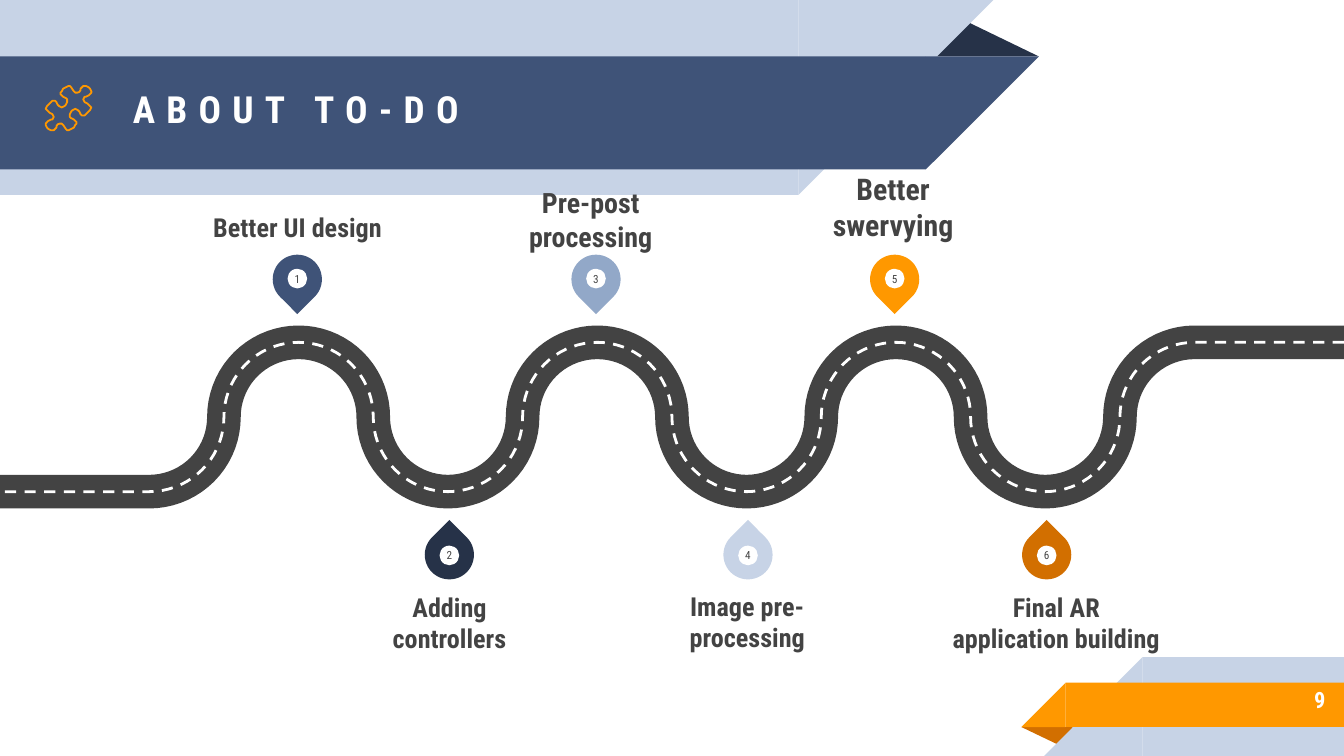
import math
from dataclasses import dataclass

import pptx
import pptx.dml.color
import pptx.enum.dml
import pptx.enum.shapes
import pptx.enum.text
import pptx.util

SHAPE = pptx.enum.shapes.MSO_SHAPE
ALIGN = pptx.enum.text.PP_ALIGN
ANCHOR = pptx.enum.text.MSO_ANCHOR

# Square grid cells: 100 columns across a 16:9 slide
COLUMNS = 100
ROWS = COLUMNS * 9 / 16
CELL = pptx.util.Inches(10) // COLUMNS
FONT = "Roboto Condensed"
COLOURS = {
    "white": "FFFFFF", "pale": "C7D3E6", "sky": "92A8C8", "blue": "3F5378", "navy": "263248",
    "orange": "FF9800", "rust": "D26F00", "grey": "434343",
}

# The road bends in quarter circles, 18 radii across the slide
RADIUS = COLUMNS / 18
ROAD_MIDDLE = 31.03
PIN_SIZE, DOT_SIZE = 3.66, 1.46


@dataclass
class Box:
    left: float
    top: float
    width: float
    height: float


@dataclass
class Band:
    kind: SHAPE
    box: Box
    colour: str
    rotation: int = 0
    mirrored: bool = False


@dataclass
class Step:
    number: int
    label: str
    colour: str
    box: Box
    size: int = 14


BANDS = [
    # Header
    Band(SHAPE.ISOSCELES_TRIANGLE, Box(68.8, 1.4, 8.5, 2.8), "navy"),
    Band(SHAPE.RECTANGLE, Box(0, 0, 59.4, 14.5), "pale"),
    Band(SHAPE.RIGHT_TRIANGLE, Box(59.4, 0, 14.5, 14.5), "pale", 180, True),
    Band(SHAPE.RECTANGLE, Box(0, 4.2, 68.9, 8.4), "blue"),
    Band(SHAPE.RIGHT_TRIANGLE, Box(68.9, 4.2, 8.4, 8.4), "blue", 180, True),
    # Footer
    Band(SHAPE.ISOSCELES_TRIANGLE, Box(76, 54.1, 4.3, 1.4), "rust", 180),
    Band(SHAPE.RECTANGLE, Box(85, 48.9, 15, 7.35), "pale"),
    Band(SHAPE.RIGHT_TRIANGLE, Box(77.7, 48.9, 7.3, 7.35), "pale", 0, True),
    Band(SHAPE.RECTANGLE, Box(79.3, 50.8, 20.7, 3.3), "orange"),
    Band(SHAPE.RIGHT_TRIANGLE, Box(76, 50.8, 3.3, 3.3), "orange", 0, True),
]

STEPS = [
    Step(1, "Better UI design", "blue", Box(15.1, 12.25, 14.1, 5.8)),
    Step(2, "Adding controllers", "navy", Box(26.4, 44, 14.1, 5.8)),
    Step(3, "Pre-post processing", "sky", Box(36.9, 13, 14.1, 5.8), 15),
    Step(4, "Image pre-processing", "pale", Box(49.5, 43.9, 12.2, 5.8)),
    Step(5, "Better swervying", "orange", Box(59.4, 12.25, 14.1, 5.8), 16),
    Step(6, "Final AR application building", "rust", Box(70.8, 44, 15.6, 5.8)),
]

# Half of the puzzle piece; the other half is the same turned by 180 degrees
PUZZLE_CENTRE = (5.1, 8.05)
PUZZLE_HALF = [
    (6.4, 7.2), (6.6, 7.1), (6.7, 7), (6.8, 6.9), (6.8, 6.8), (6.7, 6.6), (6.6, 6.5),
    (6.4, 6.4), (6.2, 6.4), (6.1, 6.5), (6, 6.6), (6, 6.7), (5.9, 6.85), (5.75, 6.9),
    (5.6, 6.9), (5.5, 6.8), (5.3, 6.5), (5.2, 6.4), (5.1, 6.4), (4.9, 6.5), (4.7, 6.6),
    (4.6, 6.8), (4.5, 6.9), (4.5, 7), (4.6, 7.1), (4.7, 7.2), (4.9, 7.3), (5, 7.4),
    (5, 7.6), (4.9, 7.8), (4.8, 7.9), (4.6, 8), (4.4, 7.9), (4.3, 7.8), (4.2, 7.6),
    (4.1, 7.5), (3.9, 7.5), (3.7, 7.7), (3.5, 7.9), (3.4, 8.1), (3.5, 8.2), (3.7, 8.4),
    (3.9, 8.5), (4, 8.7), (3.9, 8.9),
]


def rgb(name: str) -> pptx.dml.color.RGBColor:
    return pptx.dml.color.RGBColor.from_string(COLOURS[name])


def cells(*values: float) -> list[int]:
    return [round(value * CELL) for value in values]


def place(box: Box) -> list[int]:
    return cells(box.left, box.top, box.width, box.height)


def add_filled(slide, band: Band):
    shape = slide.shapes.add_shape(band.kind, *place(band.box))
    shape.shadow.inherit = False
    shape.fill.solid()
    shape.fill.fore_color.rgb = rgb(band.colour)
    shape.line.fill.background()
    shape.rotation = band.rotation
    if band.mirrored:
        shape._element.spPr.xfrm.set("flipH", "1")
    if band.kind == SHAPE.ISOSCELES_TRIANGLE:
        shape.adjustments[0] = 0.32
    return shape


def write(shape, text: str, size: int, colour: str, align=ALIGN.CENTER,
          anchor=ANCHOR.MIDDLE, inset: float = 0, bold: bool = True, spacing: int = 0) -> None:
    frame = shape.text_frame
    margin = pptx.util.Inches(inset)
    frame_format = {"word_wrap": True, "vertical_anchor": anchor, "margin_left": margin,
                    "margin_top": margin, "margin_right": margin, "margin_bottom": margin}
    for name, value in frame_format.items():
        setattr(frame, name, value)
    paragraph = frame.paragraphs[0]
    paragraph.alignment = align
    run = paragraph.add_run()
    run.text = text
    for name, value in {"name": FONT, "size": pptx.util.Pt(size), "bold": bold}.items():
        setattr(run.font, name, value)
    run.font.color.rgb = rgb(colour)
    if spacing:
        run._r.get_or_add_rPr().set("spc", str(spacing * 100))


def add_outline(slide, points: list, colour: str, weight: float,
                close: bool = False, dash=None) -> None:
    corners = [cells(*point) for point in points]
    builder = slide.shapes.build_freeform(*corners[0], scale=1.0)
    builder.add_line_segments(corners[1:], close=close)
    shape = builder.convert_to_shape()
    shape.shadow.inherit = False
    shape.fill.background()
    shape.line.color.rgb = rgb(colour)
    shape.line.width = pptx.util.Pt(weight)
    if dash:
        shape.line.dash_style = dash


def road_points() -> list:
    """Half circles by turns below and above the middle, from right to left."""
    points = [(COLUMNS, ROAD_MIDDLE - RADIUS)]
    for bend in range(7, -1, -1):
        side = -1 if bend % 2 else 1
        start = 90 if bend == 7 else 0
        end = 90 if bend == 0 else 180
        for degrees in range(start, end + 1, 5):
            angle = math.radians(degrees)
            points.append(((2 + 2 * bend + math.cos(angle)) * RADIUS,
                           ROAD_MIDDLE + side * math.sin(angle) * RADIUS))
    return points + [(0, ROAD_MIDDLE + RADIUS)]


def add_step(slide, step: Step) -> None:
    above = step.number % 2 == 1
    centre = (2 + 2 * step.number) * RADIUS + (-0.1 if above else 0.1)
    pin_top, dot_top = (18.95, 20) if above else (39.45, 40.6)
    pin = Box(centre - PIN_SIZE / 2, pin_top, PIN_SIZE, PIN_SIZE)
    dot = Box(centre - DOT_SIZE / 2, dot_top, DOT_SIZE, DOT_SIZE)
    add_filled(slide, Band(SHAPE.TEAR, pin, step.colour, 135 if above else 315))
    circle = add_filled(slide, Band(SHAPE.OVAL, dot, "white"))
    write(circle, str(step.number), 6, "grey", bold=False)
    label = slide.shapes.add_textbox(*place(step.box))
    write(label, step.label, step.size, "grey", anchor=ANCHOR.BOTTOM if above else ANCHOR.TOP)


def main() -> None:
    presentation = pptx.Presentation()
    presentation.slide_width, presentation.slide_height = cells(COLUMNS, ROWS)
    slide = presentation.slides.add_slide(presentation.slide_layouts[6])

    # Header and footer bands
    for band in BANDS:
        add_filled(slide, band)

    # Title and slide number
    title = slide.shapes.add_textbox(*place(Box(8.9, 3.9, 57.5, 8.4)))
    write(title, "ABOUT TO-DO", 20, "white", align=ALIGN.LEFT, inset=0.1, spacing=6)
    number = slide.shapes.add_textbox(*place(Box(83.3, 50.3, 16.3, 3.5)))
    write(number, "9", 12, "white", align=ALIGN.RIGHT, inset=0.1)

    # Road with its dashed centre line
    road = road_points()
    add_outline(slide, road, "grey", 18)
    add_outline(slide, road, "white", 1.5, dash=pptx.enum.dml.MSO_LINE.DASH)

    # Numbered pins with labels
    for step in STEPS:
        add_step(slide, step)

    # Puzzle icon
    turned = [(2 * PUZZLE_CENTRE[0] - x, 2 * PUZZLE_CENTRE[1] - y) for x, y in PUZZLE_HALF]
    add_outline(slide, PUZZLE_HALF + turned, "orange", 0.96, close=True)

    presentation.save("out.pptx")


if __name__ == "__main__":
    main()
